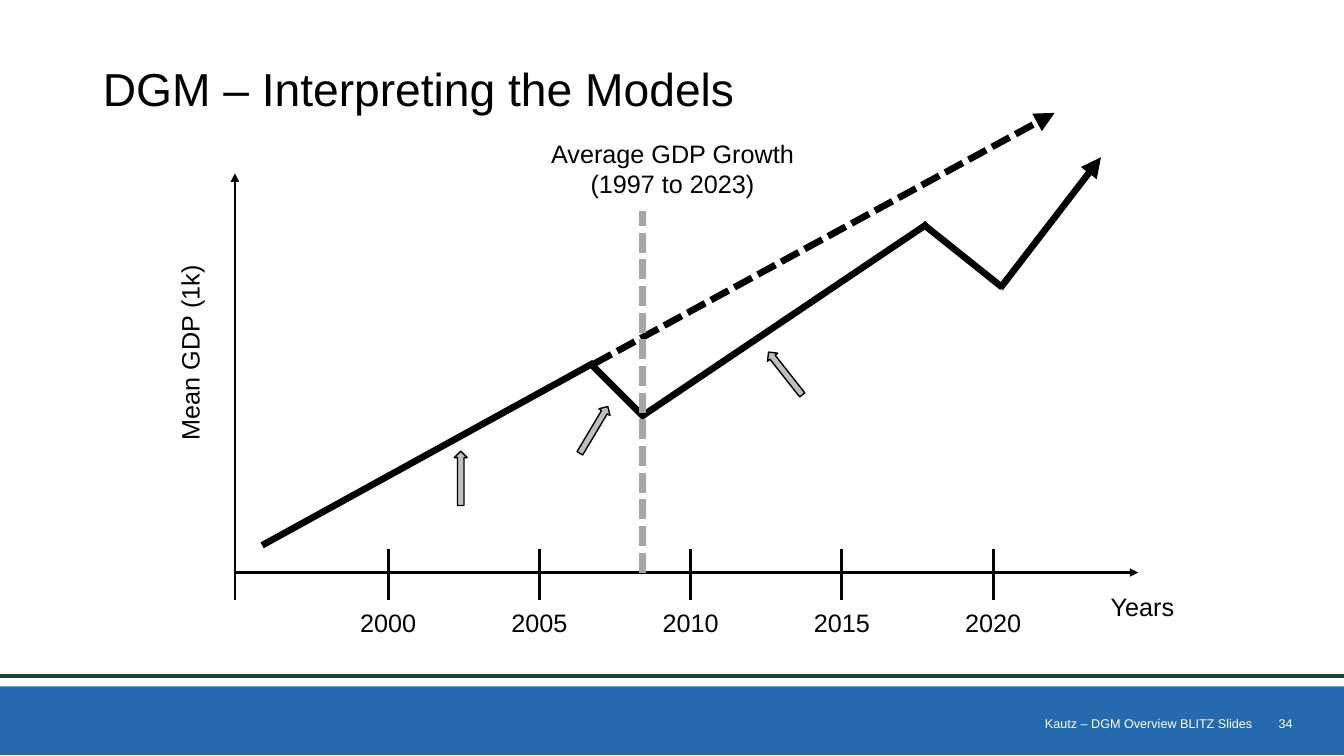
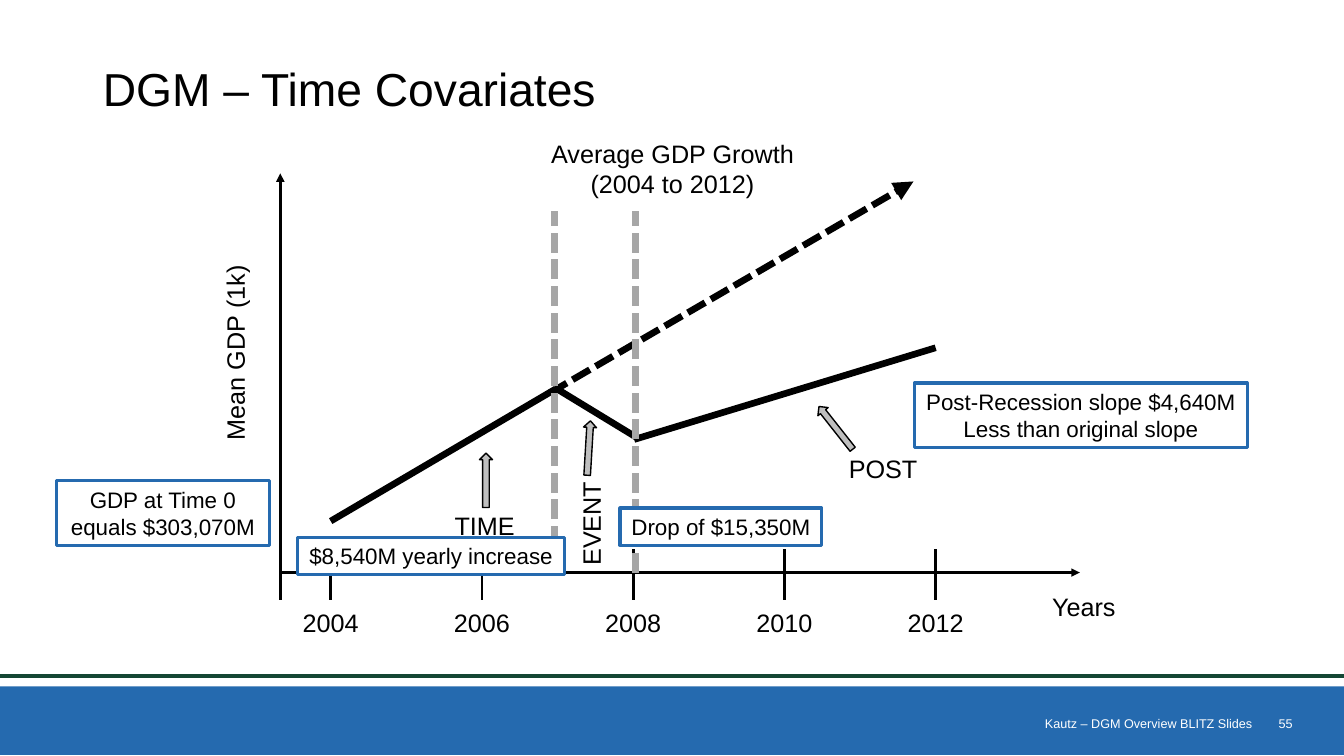
"""Build two slides that explain discontinuous growth models of GDP."""
import dataclasses

import lxml.etree
import pptx
import pptx.dml.color
import pptx.enum.dml
import pptx.enum.shapes
import pptx.enum.text
import pptx.oxml.ns
import pptx.util

Inches = pptx.util.Inches
Align = pptx.enum.text.PP_ALIGN
Anchor = pptx.enum.text.MSO_ANCHOR
Shape = pptx.enum.shapes.MSO_SHAPE


@dataclasses.dataclass(frozen=True)
class Theme:
    """Colours, font, type sizes and line weights."""
    font: str = "Arial"
    ink: str = "000000"
    paper: str = "FFFFFF"
    blue: str = "256AAF"
    green: str = "154734"
    pointer: str = "BFBFBF"
    divider: str = "A6A6A6"
    title: float = 33
    label: float = 18
    note: float = 16
    footer: float = 9
    rule: float = 3
    axis: float = 2
    trend: float = 4.75
    note_edge: float = 2.25
    pointer_edge: float = 1


def rgb(color):
    """Turn a hex string into a colour."""
    return pptx.dml.color.RGBColor.from_string(color)


def write_text(frame, text, *, font, size, color, align=Align.CENTER,
               anchor=Anchor.TOP, wrap=True, spacing=None):
    """Fill a text frame, one paragraph per line of text."""
    frame.text = text
    frame.word_wrap = wrap
    frame.vertical_anchor = anchor
    for para in frame.paragraphs:
        para.alignment = align
        para.line_spacing = spacing
        for span in para.runs:
            span.font.name = font
            span.font.size = pptx.util.Pt(size)
            span.font.color.rgb = rgb(color)


class GrowthDeck:
    """Hold the style and the current page, and draw each kind of element."""

    tick_step = 1.5
    axis_y = 5.68

    def __init__(self, theme):
        self.theme = theme
        self.deck = pptx.Presentation()
        self.deck.slide_width = Inches(13.33)
        self.deck.slide_height = Inches(7.5)
        self.page = None

    def add_page(self, title, number):
        """Start a page with its band, rule, title and footer."""
        theme = self.theme
        self.page = self.deck.slides.add_slide(self.deck.slide_layouts[5])
        self.block(Shape.RECTANGLE, 0, 6.81, 13.33, 0.68, fill=theme.blue)
        self.line(0, 6.71, 13.33, 6.71, color=theme.green, weight=theme.rule)
        box = self.page.shapes.title
        box.left, box.top = Inches(0.92), Inches(0.27)
        box.width, box.height = Inches(11.5), Inches(1.27)
        write_text(box.text_frame, title, font=theme.font, size=theme.title,
                   color=theme.ink, align=Align.LEFT, anchor=Anchor.MIDDLE, spacing=0.9)
        footer = dict(size=theme.footer, color=theme.paper,
                      align=Align.RIGHT, anchor=Anchor.MIDDLE)
        self.label(number, 12.42, 7.07, 0.5, 0.21, **footer)
        credit = self.label("Kautz – DGM Overview BLITZ Slides",
                            4.42, 7.07, 8, 0.21, **footer)
        credit.text_frame.margin_right = 0

    def label(self, text, left, top, width, height=0.4, *, turn=0, **style):
        """Add a text box."""
        box = self.page.shapes.add_textbox(
            Inches(left), Inches(top), Inches(width), Inches(height))
        box.rotation = turn
        style = dict(size=self.theme.label, color=self.theme.ink) | style
        write_text(box.text_frame, text, font=self.theme.font, **style)
        return box

    def block(self, kind, left, top, width, height, *, fill=None, edge=None, weight=0):
        """Add a preset shape with an optional fill and outline."""
        shape = self.page.shapes.add_shape(
            kind, Inches(left), Inches(top), Inches(width), Inches(height))
        shape.shadow.inherit = False
        for part, color in ((shape.fill, fill), (shape.line.fill, edge)):
            if color:
                part.solid()
                part.fore_color.rgb = rgb(color)
            else:
                part.background()
        if edge:
            shape.line.width = pptx.util.Pt(weight)
        return shape

    def line(self, x1, y1, x2, y2, *, color=None, weight=None, dashed=False, arrow=False):
        """Add a straight line, by default in the axis style."""
        connector = self.page.shapes.add_connector(
            pptx.enum.shapes.MSO_CONNECTOR.STRAIGHT,
            Inches(x1), Inches(y1), Inches(x2), Inches(y2))
        connector.line.color.rgb = rgb(color or self.theme.ink)
        connector.line.width = pptx.util.Pt(weight or self.theme.axis)
        if dashed:
            connector.line.dash_style = pptx.enum.dml.MSO_LINE.SQUARE_DOT
        qn = pptx.oxml.ns.qn
        properties = connector.element.spPr
        if arrow:
            lxml.etree.SubElement(properties.find(qn("a:ln")), qn("a:tailEnd"),
                                  type="triangle")
        lxml.etree.SubElement(properties, qn("a:effectLst"))

    def axes(self, origin, end, first_tick, years):
        """Draw both axes with their names, ticks and year labels."""
        self.line(origin, 5.95, origin, 1.72, arrow=True)
        self.line(origin, self.axis_y, end, self.axis_y, arrow=True)
        self.label("Years", end - 0.4, 5.82, 0.88)
        self.label("Mean GDP (1k)", origin - 1.69, 3.3, 2.48, turn=270)
        for index, year in enumerate(years):
            x = first_tick + index * self.tick_step
            self.line(x, 5.45, x, 5.95)
            self.label(str(year), x - 0.67, 5.98, 1.34)
        
    def caption(self, span):
        """Name the chart and the years that it covers."""
        self.label(f"Average GDP Growth ({span})", 5.28, 1.32, 2.78, 0.71)

    def trend(self, *ends, **style):
        """Draw one heavy segment of the growth curve."""
        self.line(*ends, weight=self.theme.trend, **style)

    def divider(self, x):
        """Draw a dashed upright at a change of phase."""
        self.trend(x, self.axis_y, x, 2.09, color=self.theme.divider, dashed=True)

    def pointer(self, left, top, turn):
        """Add a small block arrow that points at the curve."""
        arrow = self.block(Shape.RIGHT_ARROW, left, top, 0.54, 0.13,
                           fill=self.theme.pointer, edge=self.theme.ink,
                           weight=self.theme.pointer_edge)
        arrow.rotation = turn

    def note(self, text, left, top, width, height, *, filled=True):
        """Add a framed remark."""
        theme = self.theme
        box = self.block(Shape.RECTANGLE, left, top, width, height,
                         fill=theme.paper if filled else None,
                         edge=theme.blue, weight=theme.note_edge)
        write_text(box.text_frame, text, font=theme.font, size=theme.note,
                   color=theme.ink, anchor=Anchor.MIDDLE, wrap=False)


def add_interpreting_page(deck):
    """Show growth from 1997 to 2023."""
    deck.add_page("DGM – Interpreting the Models", "34")
    deck.axes(2.33, 11.29, 3.85, range(2000, 2021, 5))
    for ends in ((2.6, 5.41, 5.89, 3.6), (5.85, 3.6, 6.38, 4.13),
                 (6.35, 4.14, 9.2, 2.22), (9.15, 2.22, 9.94, 2.85)):
        deck.trend(*ends)
    deck.trend(9.92, 2.86, 10.92, 1.56, arrow=True)
    deck.caption("1997 to 2023")
    deck.trend(5.89, 3.61, 10.46, 1.12, dashed=True, arrow=True)
    deck.divider(6.37)
    for place in ((4.3, 4.68, 270), (7.52, 3.64, 231.8), (5.62, 4.2, 300.8)):
        deck.pointer(*place)


def add_covariates_page(deck):
    """Show growth from 2004 to 2012 with its time covariates."""
    deck.add_page("DGM – Time Covariates", "55")
    deck.caption("2004 to 2012")
    deck.axes(2.78, 10.71, 3.28, range(2004, 2013, 2))
    for ends in ((3.28, 5.17, 5.51, 3.86), (5.51, 3.85, 6.33, 4.35),
                 (6.29, 4.36, 9.28, 3.45)):
        deck.trend(*ends)
    deck.trend(5.45, 3.9, 9.06, 1.8, dashed=True, arrow=True)
    for place in ((4.55, 4.7, 270), (8.02, 4.18, 231.8), (5.57, 4.38, 273.4)):
        deck.pointer(*place)
    for text, left, top, width, turn in (("TIME", 4.41, 5.01, 0.82, 0),
                                         ("POST", 8.32, 4.45, 0.89, 0),
                                         ("EVENT", 5.34, 4.99, 1.04, 270)):
        deck.label(text, left, top, width, turn=turn, align=Align.LEFT, wrap=False)
    for x in (5.5, 6.3):
        deck.divider(x)
    deck.note("$8,540M yearly increase", 2.95, 5.33, 2.65, 0.37)
    deck.note("GDP at Time 0\nequals $303,070M", 0.56, 4.77, 2.11, 0.64, filled=False)
    deck.note("Post-Recession slope $4,640M\nLess than original slope",
              9.07, 3.8, 3.3, 0.64)
    deck.note("Drop of $15,350M", 6.15, 5.04, 2, 0.37)


def main():
    """Build and save the presentation."""
    deck = GrowthDeck(Theme())
    add_interpreting_page(deck)
    add_covariates_page(deck)
    deck.deck.save("out.pptx")


if __name__ == "__main__":
    main()
